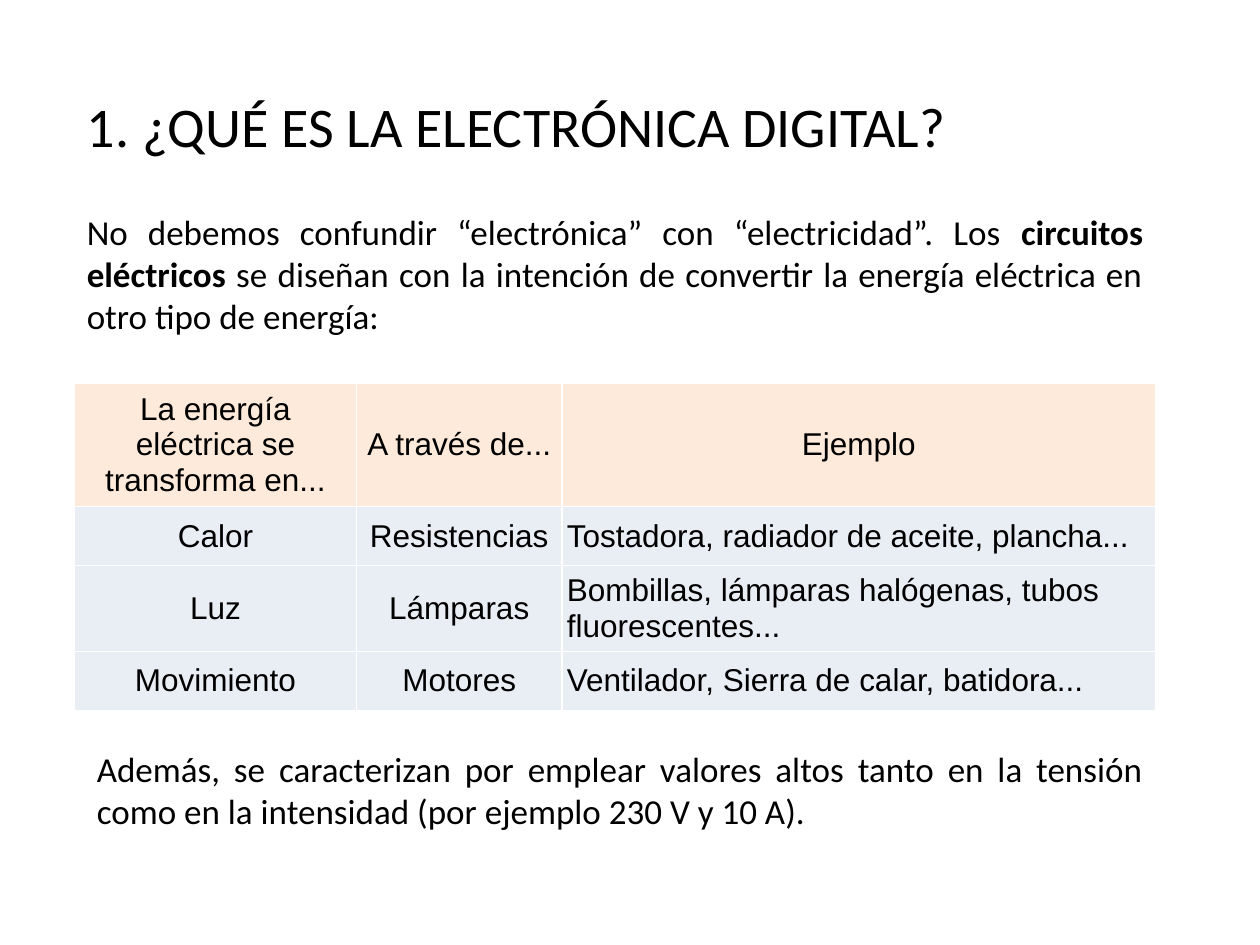
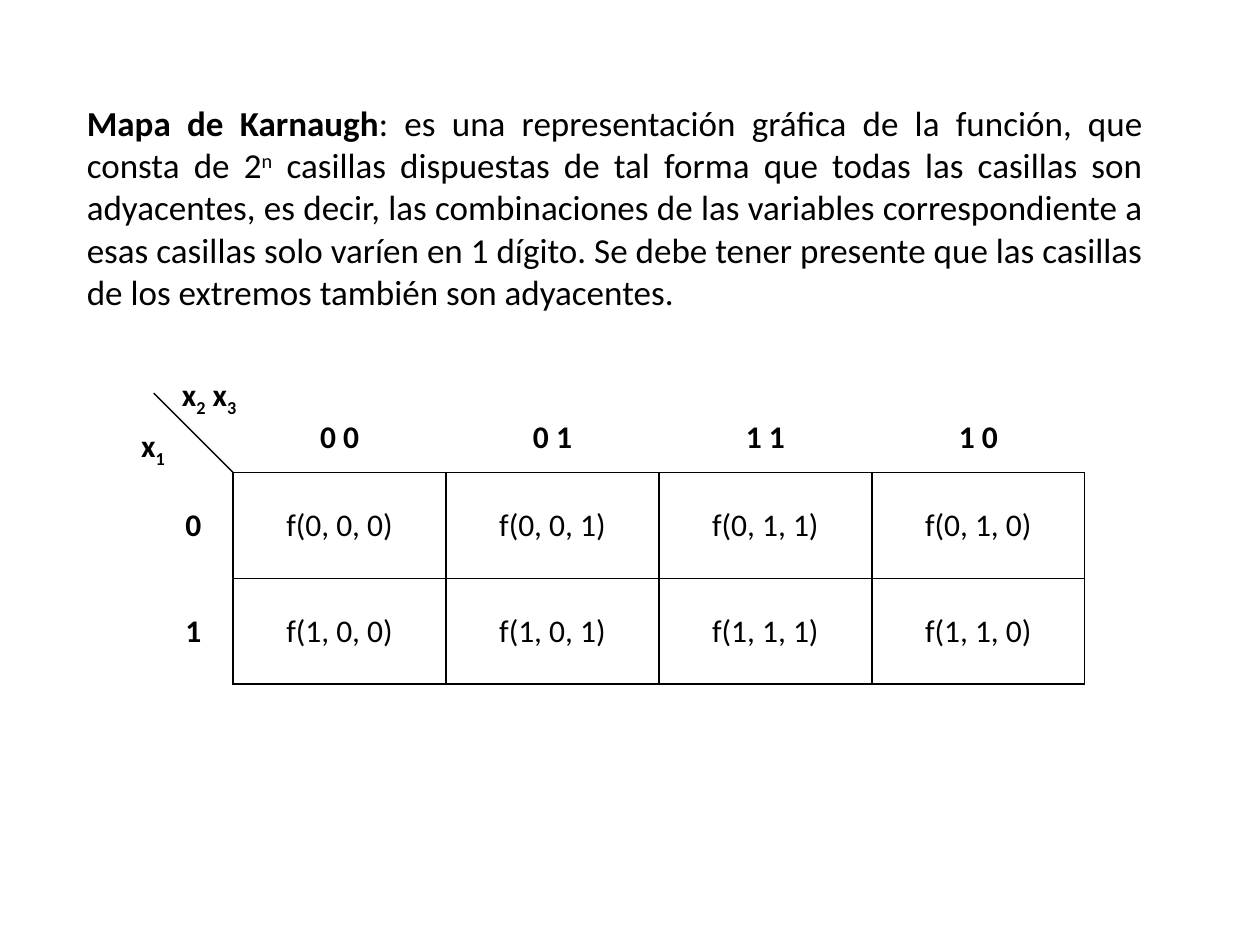
from lxml.etree import SubElement
from pptx import Presentation
from pptx.dml.color import RGBColor
from pptx.enum.shapes import MSO_CONNECTOR
from pptx.enum.text import MSO_ANCHOR, MSO_AUTO_SIZE, PP_ALIGN
from pptx.oxml.ns import qn
from pptx.util import Inches, Pt

# Shared look
BLACK, WHITE = "000000", "FFFFFF"
HEADER_FILL, ROW_FILL = "FDEADA", "E9EDF4"
BODY_FONT, TABLE_FONT = "Calibri", "Arial"
TITLE_SIZE, BODY_SIZE, TABLE_SIZE = 32, 20, 18
LEFT, CONTENT_WIDTH = 0.59, 8.58
NO_TABLE_STYLE = "{2D5ABB26-0587-4C30-8999-92F81FD0307C}"
BOLD = {"bold": True}
SUBSCRIPT = {"bold": True, "baseline": -25}


def color(hex_code):
    return RGBColor.from_string(hex_code)


def write(frame, text, size=BODY_SIZE, font=BODY_FONT, bold=False,
          align=PP_ALIGN.LEFT, space_after=0):
    """Write a string, or a list of (string, run format) pairs, as one paragraph."""
    paragraph = frame.paragraphs[0]
    paragraph.alignment = align
    paragraph.space_after = Pt(space_after)
    pieces = [(text, {})] if isinstance(text, str) else text
    for piece, run_format in pieces:
        run = paragraph.add_run()
        run.text = piece
        run.font.name = font
        run.font.size = Pt(size)
        run.font.bold = run_format.get("bold", bold)
        run.font.color.rgb = color(BLACK)
        if "baseline" in run_format:
            run._r.get_or_add_rPr().set("baseline", str(run_format["baseline"] * 1000))


def add_title(slide, text):
    title = slide.shapes.title
    title.left, title.top = Inches(LEFT), Inches(0.68)
    title.width, title.height = Inches(8.82), Inches(0.64)
    frame = title.text_frame
    frame.auto_size = MSO_AUTO_SIZE.NONE
    frame.vertical_anchor = MSO_ANCHOR.TOP
    write(frame, text, size=TITLE_SIZE)


def add_text(slide, text, left, top, width, height, **text_format):
    box = slide.shapes.add_textbox(Inches(left), Inches(top), Inches(width), Inches(height))
    frame = box.text_frame
    frame.word_wrap = True
    frame.auto_size = MSO_AUTO_SIZE.SHAPE_TO_FIT_TEXT
    write(frame, text, **text_format)


def add_plain_table(slide, left, top, columns, rows):
    """Add an unstyled table with the given column widths and row heights."""
    table = slide.shapes.add_table(
        len(rows), len(columns), Inches(left), Inches(top),
        Inches(sum(columns)), Inches(sum(rows))).table
    table.first_row = table.horz_banding = False
    table._tbl.tblPr.find(qn("a:tableStyleId")).text = NO_TABLE_STYLE
    for column, width in zip(table.columns, columns):
        column.width = Inches(width)
    for row, height in zip(table.rows, rows):
        row.height = Inches(height)
    return table


def set_borders(cell, sides, hex_code):
    """Draw 1 pt lines on the given sides (from L, R, T, B); hide the others."""
    properties = cell._tc.get_or_add_tcPr()
    for side in "LRTB":
        line = SubElement(properties, qn(f"a:ln{side}"), w=str(Pt(1)))
        if side in sides:
            fill = SubElement(line, qn("a:solidFill"))
            SubElement(fill, qn("a:srgbClr"), val=hex_code)
        else:
            SubElement(line, qn("a:noFill"))


def format_cell(cell, text, sides="LRTB", border=BLACK, fill=None, margin=None, **text_format):
    set_borders(cell, sides, border)
    if fill:
        cell.fill.solid()
        cell.fill.fore_color.rgb = color(fill)
    else:
        cell.fill.background()
    if margin is not None:
        cell.margin_left = cell.margin_right = Inches(margin)
        cell.margin_top = cell.margin_bottom = Inches(margin)
    cell.vertical_anchor = MSO_ANCHOR.MIDDLE
    if text:
        write(cell.text_frame, text, size=TABLE_SIZE, **text_format)


def add_line(slide, start, end):
    line = slide.shapes.add_connector(
        MSO_CONNECTOR.STRAIGHT, *(Inches(value) for value in start + end))
    line.line.color.rgb = color(BLACK)
    line.line.width = Pt(0.75)
    SubElement(line._element.spPr, qn("a:effectLst"))


def add_energy_table(slide):
    contents = [
        ("La energía eléctrica se transforma en...", "A través de...", "Ejemplo"),
        ("Calor", "Resistencias", "Tostadora, radiador de aceite, plancha..."),
        ("Luz", "Lámparas", "Bombillas, lámparas halógenas, tubos fluorescentes..."),
        ("Movimiento", "Motores", "Ventilador, Sierra de calar, batidora..."),
    ]
    table = add_plain_table(slide, LEFT, 3.04, [2.24, 1.63, 4.71], [0.97, 0.47, 0.67, 0.47])
    for row, texts in enumerate(contents):
        for column, text in enumerate(texts):
            is_example = row > 0 and column == 2
            format_cell(table.cell(row, column), text, border=WHITE, margin=0.04,
                        fill=ROW_FILL if row else HEADER_FILL, font=TABLE_FONT,
                        align=PP_ALIGN.LEFT if is_example else PP_ALIGN.CENTER)


def add_karnaugh_map(slide):
    left, top, label_width, label_height = 1.22, 3.2, 0.63, 0.55
    gray_code = ["0 0", "0 1", "1 1", "1 0"]
    table = add_plain_table(slide, left, top, [label_width] + [1.69] * 4,
                            [label_height, 0.84, 0.84])
    format_cell(table.cell(0, 0), "", sides="")
    for column, code in enumerate(gray_code, 1):
        format_cell(table.cell(0, column), code, sides="B", bold=True, align=PP_ALIGN.CENTER)
    for row, x1 in enumerate("01", 1):
        format_cell(table.cell(row, 0), x1, sides="R", bold=True, align=PP_ALIGN.CENTER)
        for column, code in enumerate(gray_code, 1):
            x2, x3 = code.split()
            format_cell(table.cell(row, column), f"f({x1}, {x2}, {x3})", align=PP_ALIGN.CENTER)

    # Diagonal that separates the row and column variables
    corner = (left + label_width, top + label_height)
    add_line(slide, corner, (left, corner[1] - label_width))
    add_text(slide, [("x", BOLD), ("1", SUBSCRIPT)], 0.94, 3.33, 0.55, 0.4,
             size=TABLE_SIZE, align=PP_ALIGN.CENTER)
    add_text(slide, [("x", BOLD), ("2", SUBSCRIPT), (" x", BOLD), ("3", SUBSCRIPT)],
             1.29, 2.93, 0.74, 0.4, size=TABLE_SIZE, align=PP_ALIGN.CENTER)


def build_electronics_slide(presentation):
    slide = presentation.slides.add_slide(presentation.slide_layouts.get_by_name("Title Only"))
    add_title(slide, "1. ¿QUÉ ES LA ELECTRÓNICA DIGITAL?")
    add_text(slide, [
        ("No debemos confundir “electrónica” con “electricidad”. Los ", {}),
        ("circuitos eléctricos", BOLD),
        (" se diseñan con la intención de convertir la energía eléctrica "
         "en otro tipo de energía:", {}),
    ], LEFT, 1.62, CONTENT_WIDTH, 1.11, align=PP_ALIGN.JUSTIFY)
    add_energy_table(slide)
    add_text(slide, "Además, se caracterizan por emplear valores altos tanto en la tensión "
             "como en la intensidad (por ejemplo 230 V y 10 A).",
             0.67, 5.88, 8.5, 0.77, align=PP_ALIGN.JUSTIFY)


def build_karnaugh_slide(presentation):
    slide = presentation.slides.add_slide(presentation.slide_layouts.get_by_name("Blank"))
    add_text(slide, [
        ("Mapa de Karnaugh", BOLD),
        (": es una representación gráfica de la función, que consta de 2", {}),
        ("n", {"baseline": 30}),
        (" casillas dispuestas de tal forma que todas las casillas son adyacentes, es decir, "
         "las combinaciones de las variables correspondiente a esas casillas solo varíen en "
         "1 dígito. Se debe tener presente que las casillas de los extremos también son "
         "adyacentes.", {}),
    ], LEFT, 0.76, CONTENT_WIDTH, 1.78, align=PP_ALIGN.JUSTIFY, space_after=6)
    add_karnaugh_map(slide)


def main():
    presentation = Presentation()
    presentation.slide_width, presentation.slide_height = Inches(10), Inches(7.5)
    build_electronics_slide(presentation)
    build_karnaugh_slide(presentation)
    presentation.save("out.pptx")


if __name__ == "__main__":
    main()
